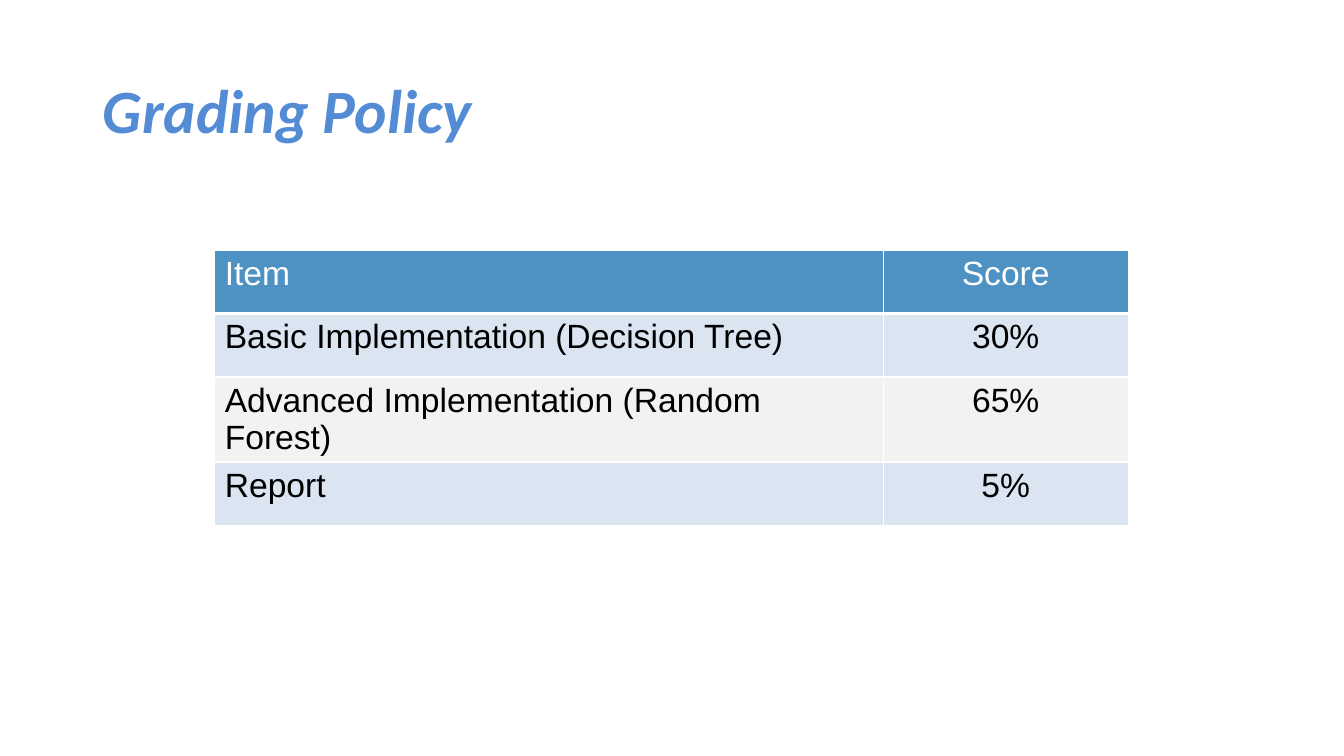
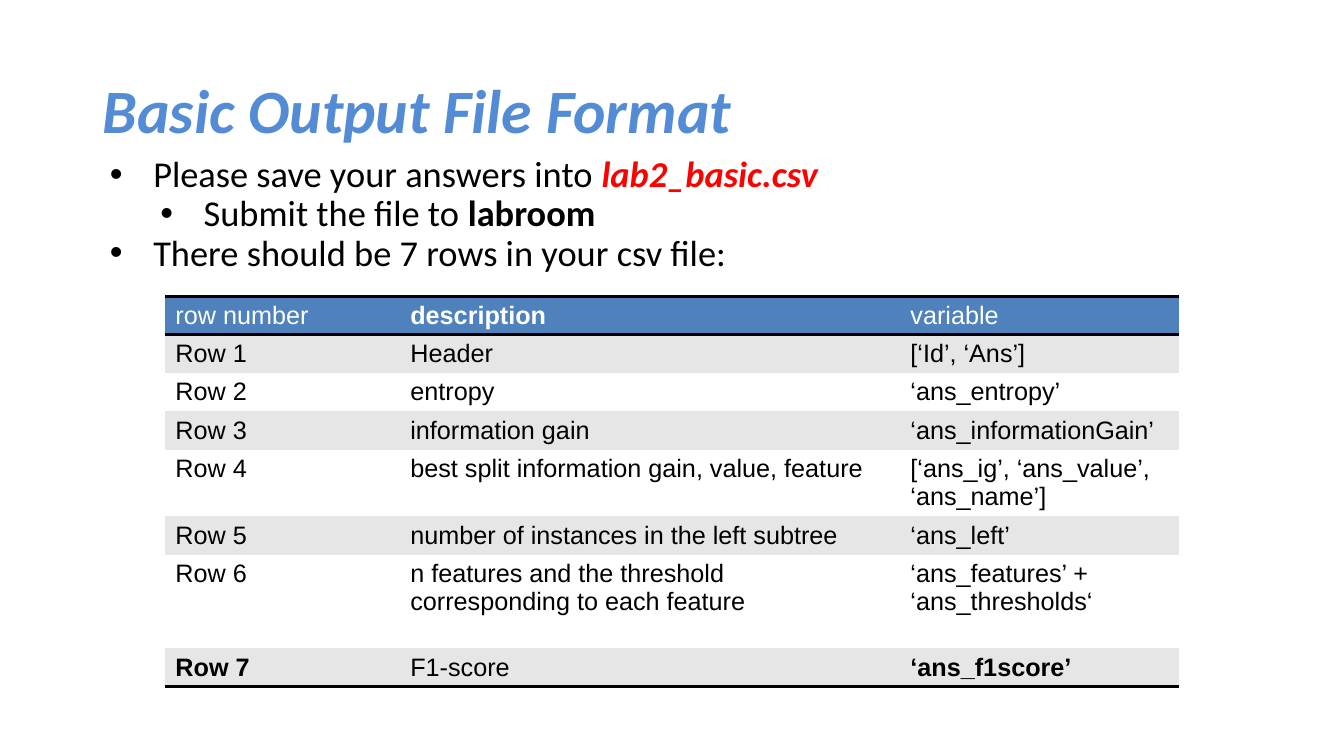
from dataclasses import dataclass, field
from typing import NamedTuple, Optional

from lxml import etree
from pptx import Presentation
from pptx.dml import color
from pptx.enum import text as kinds
from pptx.oxml import ns
from pptx.util import Inches, Pt

BLACK, WHITE, RED = "000000", "FFFFFF", "FF0000"
TITLE = "538CD5"
HEAD, BODY = "Calibri", "Arial"
PLAIN = "{2D5ABB26-0587-4C30-8999-92F81FD0307C}"
LEFT, MID = kinds.PP_ALIGN.LEFT, kinds.PP_ALIGN.CENTER


class Line(NamedTuple):
    tint: str
    width: float


class Span(NamedTuple):
    words: str
    tint: str = BLACK
    bold: bool = False
    slant: bool = False


class Point(NamedTuple):
    level: int
    spans: tuple[Span, ...]


@dataclass
class Grid:
    left: float
    top: float
    cols: list[float]
    rows: list[float]
    cells: list[list[str]]
    size: int
    fills: tuple[str, str, str]
    aligns: list
    rules: dict[int, Line]
    side: Optional[Line] = None
    bold: set[tuple[int, int]] = field(default_factory=set)


def paint(item, tint: str) -> None:
    item.rgb = color.RGBColor.from_string(tint)


def add_run(para, span: Span, size: float, face: str) -> None:
    run = para.add_run()
    run.text = span.words
    font = run.font
    font.name, font.size = face, Pt(size)
    font.bold, font.italic = span.bold, span.slant
    paint(font.color, span.tint)


def place(shape, left: float, top: float, width: float, height: float) -> None:
    shape.left, shape.top = Inches(left), Inches(top)
    shape.width, shape.height = Inches(width), Inches(height)
    shape.text_frame.word_wrap = True
    shape.text_frame.auto_size = kinds.MSO_AUTO_SIZE.NONE


def set_para(para, align=LEFT, gap: float = 0.9) -> None:
    para.alignment = align
    para.line_spacing = gap
    para.space_before = para.space_after = Pt(0)


def sub(parent, tag: str, **attrs: str):
    return etree.SubElement(parent, ns.qn(tag), attrs)


def add_slide(deck, layout: int, title: str):
    slide = deck.slides.add_slide(deck.slide_layouts[layout])
    shape = slide.shapes.title
    place(shape, 0.92, 0.4, 11.5, 1.45)
    shape.text_frame.vertical_anchor = kinds.MSO_ANCHOR.MIDDLE
    para = shape.text_frame.paragraphs[0]
    set_para(para)
    add_run(para, Span(title, TITLE, True, True), 44, HEAD)
    return slide


def add_list(slide, points: list[Point]) -> None:
    shape = slide.placeholders[1]
    place(shape, 0.92, 1.5, 10.85, 1.65)
    frame = shape.text_frame
    frame.vertical_anchor = kinds.MSO_ANCHOR.TOP
    for at, point in enumerate(points):
        para = frame.add_paragraph() if at else frame.paragraphs[0]
        para.level = point.level
        set_para(para)
        props = para._p.get_or_add_pPr()
        props.set("marL", str(Inches(0.5 * (point.level + 1))))
        props.set("indent", str(Inches(-0.43)))
        sub(sub(props, "a:buClr"), "a:srgbClr", val=BLACK)
        sub(props, "a:buFont", typeface=BODY)
        sub(props, "a:buChar", char="•")
        for span in point.spans:
            add_run(para, span, 26, HEAD)


def add_edge(cell, tag: str, line: Optional[Line]) -> None:
    props = cell._tc.get_or_add_tcPr()
    if line is None:
        sub(sub(props, tag, w="0"), "a:noFill")
    else:
        edge = sub(props, tag, w=str(Pt(line.width)))
        sub(sub(edge, "a:solidFill"), "a:srgbClr", val=line.tint)


def add_grid(slide, grid: Grid) -> None:
    frame = slide.shapes.add_table(
        len(grid.rows), len(grid.cols), Inches(grid.left), Inches(grid.top),
        Inches(sum(grid.cols)), Inches(sum(grid.rows)))
    table = frame.table
    table._tbl.tblPr.find(ns.qn("a:tableStyleId")).text = PLAIN
    table.first_row = table.horz_banding = False
    for col, width in zip(table.columns, grid.cols):
        col.width = Inches(width)
    for row, height in zip(table.rows, grid.rows):
        row.height = Inches(height)
    top, odd, even = grid.fills
    for r, words in enumerate(grid.cells):
        fill = top if r == 0 else odd if r % 2 else even
        for c, word in enumerate(words):
            cell = table.cell(r, c)
            cell.margin_left = cell.margin_right = Inches(0.1)
            cell.margin_top = cell.margin_bottom = Inches(0.05)
            for tag, line in (("a:lnL", grid.side), ("a:lnR", grid.side),
                              ("a:lnT", grid.rules.get(r)),
                              ("a:lnB", grid.rules.get(r + 1))):
                add_edge(cell, tag, line)
            cell.fill.solid()
            paint(cell.fill.fore_color, fill)
            para = cell.text_frame.paragraphs[0]
            set_para(para, grid.aligns[c], 1.0)
            tint = BLACK if r else WHITE
            add_run(para, Span(word, tint, (r, c) in grid.bold), grid.size, BODY)


def main() -> None:
    deck = Presentation()
    deck.slide_width, deck.slide_height = Inches(13.33), Inches(7.5)

    thin, thick, dark = Line(WHITE, 1), Line(WHITE, 3), Line(BLACK, 2)
    grading = add_slide(deck, 5, "Grading Policy")
    add_grid(grading, Grid(
        2.13, 2.48, [6.63, 2.43], [0.63] * 4,
        [["Item", "Score"],
         ["Basic Implementation (Decision Tree)", "30%"],
         ["Advanced Implementation (Random Forest)", "65%"],
         ["Report", "5%"]],
        24, ("4D92C3", "DAE5F1", "F2F2F2"), [LEFT, MID],
        {0: thin, 1: thick, 2: thin, 3: thin, 4: thin}, thin))

    output = add_slide(deck, 1, "Basic Output File Format")
    add_list(output, [
        Point(0, (Span("Please save your answers into "),
                  Span("lab2_basic.csv", RED, True, True))),
        Point(1, (Span("Submit the file to "), Span("labroom", bold=True))),
        Point(0, (Span("There should be 7 rows in your csv file:"),)),
    ])
    facts = [
        ("Header", "[‘Id’, ‘Ans’]"),
        ("entropy", "‘ans_entropy’"),
        ("information gain", "‘ans_informationGain’"),
        ("best split information gain, value, feature",
         "[‘ans_ig’, ‘ans_value’, ‘ans_name’]"),
        ("number of instances in the left subtree", "‘ans_left’"),
        ("n features and the threshold corresponding to each feature",
         "‘ans_features’ + ‘ans_thresholds‘"),
        ("F1-score", "‘ans_f1score’"),
    ]
    add_grid(output, Grid(
        1.64, 2.94, [2.33, 4.96, 2.76],
        [0.38] * 4 + [0.66, 0.38, 0.93, 0.38],
        [["row number", "description", "variable"]]
        + [[f"Row {n}", *fact] for n, fact in enumerate(facts, 1)],
        18, ("4F81BD", "E6E6E6", WHITE), [LEFT] * 3,
        {0: dark, 1: dark, 8: dark}, bold={(0, 1), (7, 0), (7, 2)}))

    deck.save("out.pptx")


if __name__ == "__main__":
    main()
